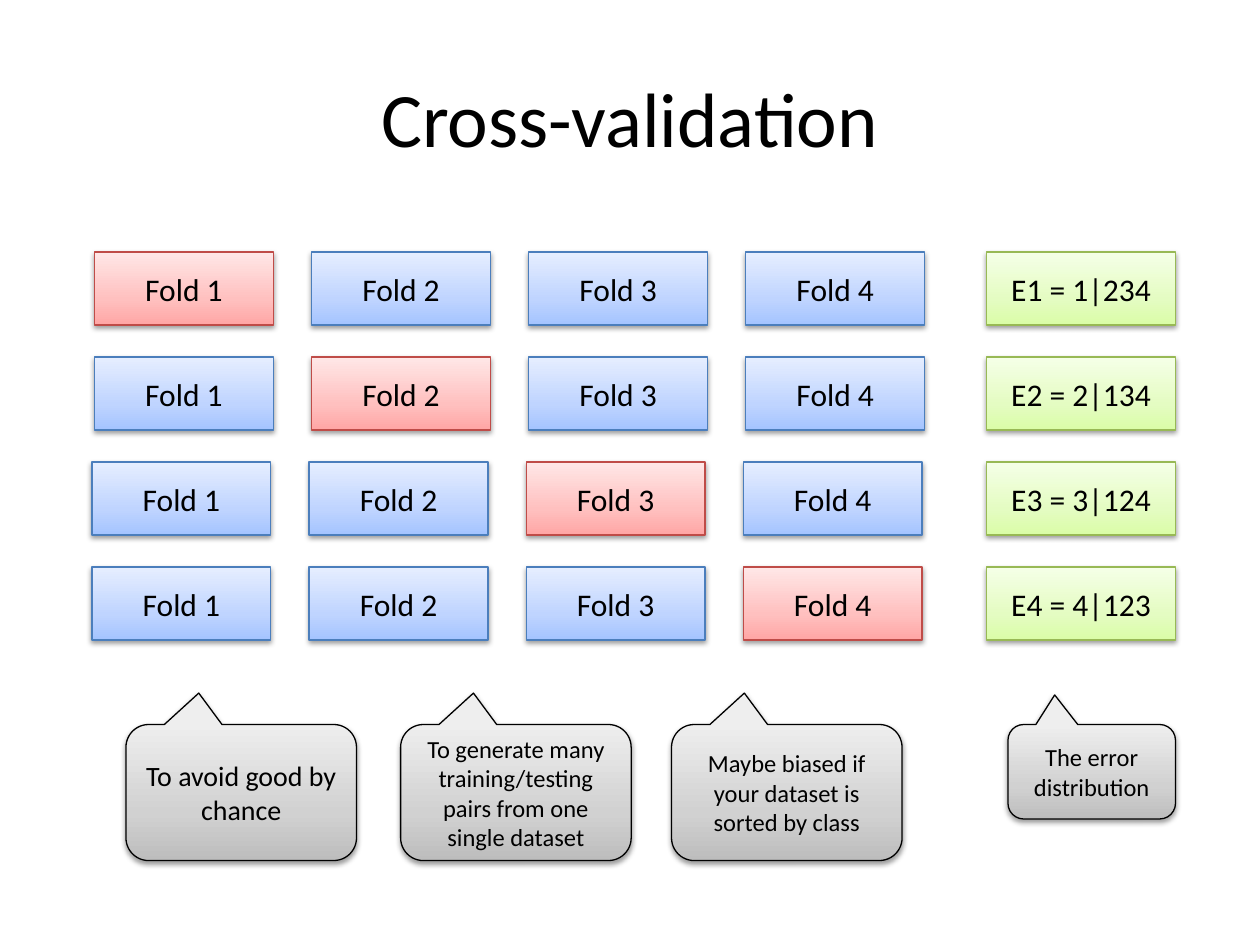
from lxml import etree
from pptx import Presentation
from pptx import util as u
from pptx.dml.color import RGBColor
from pptx.enum import shapes, text
from pptx.oxml import ns

# Content
TITLE = "Cross-validation"
FOLDS = 4
CALLOUTS = [  # text, type size, left, width, height, adjustments
    ("To avoid good by chance", "note_large", 1, 1.83, 1.08, (-0.184, -0.731)),
    ("To generate many training/testing pairs from one single dataset",
     "note", 3.18, 1.83, 1.08, (-0.184, -0.731)),
    ("Maybe biased if your dataset is sorted by class",
     "note", 5.33, 1.83, 1.08, (-0.184, -0.731)),
    ("The error distribution", "note", 8, 1.33, 0.75, (-0.221, -0.813)),
]

# Theme: each palette is a line colour and gradient stops from bottom to top
THEME = {
    "font": "Calibri",
    "ink": "000000",
    "sizes": {"title": 44, "box": 18, "note_large": 16, "note": 14},
    "test": ("BF4C48", ("FFA6A5", "FFC0BF", "FFE7E7")),
    "train": ("4B7EBC", ("A4C4FF", "BFD4FF", "E6EEFF")),
    "error": ("98B955", ("DAFDA7", "E4FCC2", "F5FFE7")),
    "callout": ("000000", ("BDBDBD", "D1D1D1", "EEEEEE")),
}
STOPS = (0, 35, 100)

# Grid, in inches
TOP, ROW_STEP, COL_STEP = 2, 2.5 / 3, 1.723
FOLD_W, ERROR_W, BOX_H = 1.42, 1.5, 0.58
ROW_LEFTS = (0.75, 0.75, 0.73, 0.73)
ERROR_LEFT, CALLOUT_TOP = 7.83, 5.75


def add_node(parent, tag, **attrs):
    node = etree.SubElement(parent, ns.qn(tag))
    for name, value in attrs.items():
        node.set(name, str(value))
    return node


def write(tf, words, size):
    tf.text = words
    tf.word_wrap = True
    tf.vertical_anchor = text.MSO_ANCHOR.MIDDLE
    p = tf.paragraphs[0]
    p.alignment = text.PP_ALIGN.CENTER
    p.font.name = THEME["font"]
    p.font.size = u.Pt(THEME["sizes"][size])
    p.font.color.rgb = RGBColor.from_string(THEME["ink"])


def add_box(kind, box, words, palette, size="box"):
    sp = slide.shapes.add_shape(kind, *(u.Inches(v) for v in box))
    line, colors = THEME[palette]
    sp.line.color.rgb = RGBColor.from_string(line)
    sp.line.width = u.Pt(0.75)

    # Three-stop gradient
    sp.fill.gradient()
    sp.fill.gradient_angle = 90
    stops = sp._element.spPr.find(".//" + ns.qn("a:gsLst"))
    for old in list(stops):
        stops.remove(old)
    for position, color in zip(STOPS, colors):
        add_node(add_node(stops, "a:gs", pos=position * 1000), "a:srgbClr", val=color)

    # Soft shadow below
    sp.shadow.inherit = False
    effects = sp._element.spPr.find(ns.qn("a:effectLst"))
    shadow = add_node(effects, "a:outerShdw", blurRad=u.Pt(3.1), dist=u.Pt(1.6),
                      dir=90 * 60000, rotWithShape=0)
    add_node(add_node(shadow, "a:srgbClr", val="000000"), "a:alpha", val=38000)

    write(sp.text_frame, words, size)
    return sp


prs = Presentation()
prs.slide_width, prs.slide_height = u.Inches(10), u.Inches(7.5)
slide = prs.slides.add_slide(prs.slide_layouts[5])

# Title
title = slide.shapes.title
title.left, title.top, title.width, title.height = map(u.Inches, (0.5, 0.3, 9, 1.25))
write(title.text_frame, TITLE, "title")

# One row per round: the test fold lies on the diagonal, the error at the end
RECT = shapes.MSO_SHAPE.RECTANGLE
for row, left in enumerate(ROW_LEFTS):
    y = TOP + row * ROW_STEP
    for col in range(FOLDS):
        add_box(RECT, (left + col * COL_STEP, y, FOLD_W, BOX_H), f"Fold {col + 1}",
                "test" if col == row else "train")
    others = "".join(str(n + 1) for n in range(FOLDS) if n != row)
    add_box(RECT, (ERROR_LEFT, y, ERROR_W, BOX_H),
            f"E{row + 1} = {row + 1}|{others}", "error")

# Callouts
for words, size, left, width, height, pointer in CALLOUTS:
    sp = add_box(shapes.MSO_SHAPE.ROUNDED_RECTANGULAR_CALLOUT,
                 (left, CALLOUT_TOP, width, height), words, "callout", size)
    for i, value in enumerate((*pointer, 0.167)):
        sp.adjustments[i] = value

prs.save("out.pptx")
